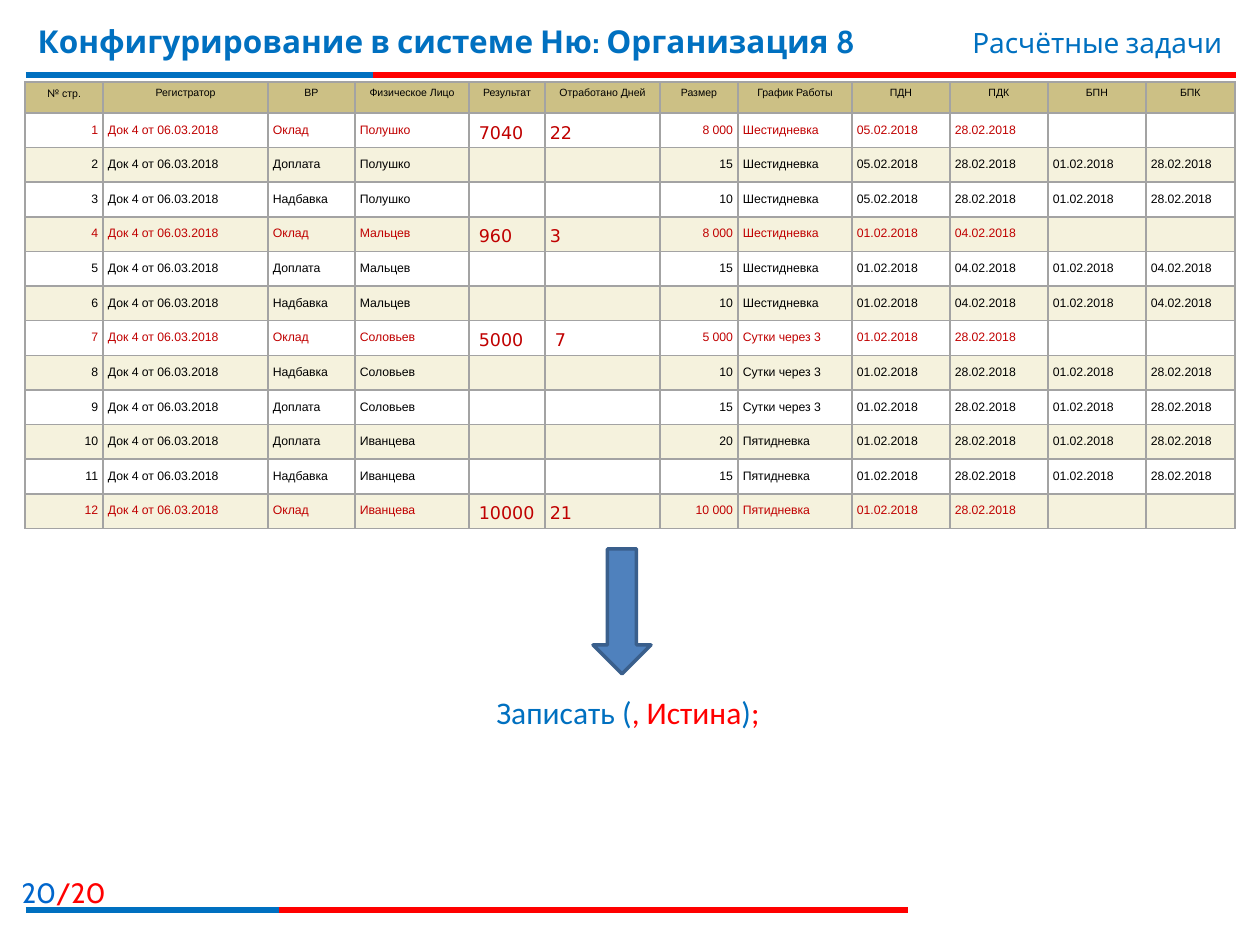
from lxml.etree import SubElement
from pptx import Presentation
from pptx.dml.color import RGBColor
from pptx.enum.shapes import MSO_CONNECTOR, MSO_SHAPE
from pptx.enum.text import MSO_ANCHOR, MSO_AUTO_SIZE, PP_ALIGN as ALIGN
from pptx.oxml import parse_xml
from pptx.oxml.ns import nsdecls, qn
from pptx.util import Emu, Pt

PX = 914400 / 126

BLUE = RGBColor(0x00, 0x70, 0xC0)
PAGE_BLUE = RGBColor(0x00, 0x66, 0xCC)
RED = RGBColor(0xFF, 0x00, 0x00)
DARK_RED = RGBColor(0xC0, 0x00, 0x00)
BLACK = RGBColor(0x00, 0x00, 0x00)
WHITE = RGBColor(0xFF, 0xFF, 0xFF)
CREAM = RGBColor(0xF5, 0xF2, 0xDD)
KHAKI = RGBColor(0xCC, 0xC0, 0x85)
GRID = RGBColor(0xA3, 0xA3, 0xA3)
ARROW_FILL = RGBColor(0x4F, 0x81, 0xBD)
ARROW_LINE = RGBColor(0x3A, 0x5F, 0x8C)


def px(*lengths):
    return [Emu(round(length * PX)) for length in lengths]


def write(frame, runs, font, size, align=ALIGN.LEFT, bold=False):
    frame.word_wrap = True
    frame.auto_size = MSO_AUTO_SIZE.NONE
    frame.vertical_anchor = MSO_ANCHOR.TOP
    line = frame.paragraphs[0]
    line.alignment = align
    line.font.name, line.font.size, line.font.bold = font, Pt(size), bold
    for text, color in runs:
        run = line.add_run()
        run.text = text
        run.font.color.rgb = color


prs = Presentation()
prs.slide_width, prs.slide_height = px(1260, 945)
slide = prs.slides.add_slide(prs.slide_layouts[5])
shapes = slide.shapes

# Red rules with a blue start, under the title and at the foot
for y, blue_end, red_end in ((75, 373, 1236), (910, 279, 908)):
    for end, color in ((red_end, RED), (blue_end, BLUE)):
        rule = shapes.add_connector(MSO_CONNECTOR.STRAIGHT, *px(26, y, end, y))
        rule.line.color.rgb = color
        rule.line.width = Pt(3)
        SubElement(rule._element.spPr, qn("a:effectLst"))

# Title, topic and page number
title = shapes.title
title.left, title.top, title.width, title.height = px(25, 16, 932, 78)
write(title.text_frame, [("Конфигурирование в системе Ню: Организация 8", BLUE)],
      "Cabin", 18, bold=True)

topic = shapes.add_textbox(*px(748, 19, 487, 47))
write(topic.text_frame, [("Расчётные задачи", BLUE)], "Cabin", 16, ALIGN.RIGHT)

page = shapes.add_textbox(*px(0, 869, 118, 41))
write(page.text_frame, [("20", PAGE_BLUE), ("/20", RED)], "Cabin", 16, ALIGN.RIGHT)

# Payroll register: type, person, result, days, size, schedule, start, end
headings = ("№ стр.", "Регистратор", "ВР", "Физическое Лицо", "Результат",
            "Отработано Дней", "Размер", "График Работы", "ПДН", "ПДК", "БПН", "БПК")
widths = (78, 165, 87, 114, 76, 115, 78, 114, 98, 98, 98, 89)
MONTH_START = "01.02.2018"
accruals = (
    ("Оклад", "Полушко", "7040", "22", "8 000", "Шестидневка", "05.02.2018", "28.02.2018"),
    ("Доплата", "Полушко", "", "", "15", "Шестидневка", "05.02.2018", "28.02.2018"),
    ("Надбавка", "Полушко", "", "", "10", "Шестидневка", "05.02.2018", "28.02.2018"),
    ("Оклад", "Мальцев", "960", "3", "8 000", "Шестидневка", MONTH_START, "04.02.2018"),
    ("Доплата", "Мальцев", "", "", "15", "Шестидневка", MONTH_START, "04.02.2018"),
    ("Надбавка", "Мальцев", "", "", "10", "Шестидневка", MONTH_START, "04.02.2018"),
    ("Оклад", "Соловьев", "5000", "7", "5 000", "Сутки через 3", MONTH_START, "28.02.2018"),
    ("Надбавка", "Соловьев", "", "", "10", "Сутки через 3", MONTH_START, "28.02.2018"),
    ("Доплата", "Соловьев", "", "", "15", "Сутки через 3", MONTH_START, "28.02.2018"),
    ("Доплата", "Иванцева", "", "", "20", "Пятидневка", MONTH_START, "28.02.2018"),
    ("Надбавка", "Иванцева", "", "", "15", "Пятидневка", MONTH_START, "28.02.2018"),
    ("Оклад", "Иванцева", "10000", "21", "10 000", "Пятидневка", MONTH_START, "28.02.2018"),
)
lines = [headings]
for number, accrual in enumerate(accruals, 1):
    base_period = ("", "") if accrual[0] == "Оклад" else (MONTH_START, accrual[-1])
    lines.append((str(number), "Док 4 от 06.03.2018", *accrual, *base_period))

register = shapes.add_table(len(lines), len(widths), *px(25, 82, sum(widths), 447)).table
register.first_row = register.horz_banding = False
for column, width in zip(register.columns, widths):
    column.width, = px(width)

NUMBER, RESULT, DAYS, SIZE = 0, 4, 5, 6
for r, line in enumerate(lines):
    register.rows[r].height, = px(416 / 12 if r else 31)
    color = DARK_RED if line[2] == "Оклад" else BLACK
    for c, text in enumerate(line):
        cell = register.cell(r, c)
        cell.fill.solid()
        indent = 5
        if r == 0:
            cell.fill.fore_color.rgb = KHAKI
            font, size, align = "Arial", 6, ALIGN.CENTER
            cell.margin_top, cell.margin_bottom = px(5, 5)
        else:
            cell.fill.fore_color.rgb = WHITE if r % 2 else CREAM
            font, size, align = "Arial", 7, ALIGN.LEFT
            cell.margin_top, cell.margin_bottom = px(10, 0)
            if c in (NUMBER, SIZE):
                align = ALIGN.RIGHT
            if c in (RESULT, DAYS) and text:
                font, size = "DejaVu Sans", 10
                indent = 10 if c == RESULT or text == "7" else 5
        cell.margin_left, cell.margin_right = px(indent, 5)

        paragraph = cell.text_frame.paragraphs[0]
        paragraph.alignment = align
        paragraph.font.name, paragraph.font.size = font, Pt(size)
        paragraph.font.color.rgb = color
        parts = ("№", text[1:]) if text.startswith("№") else (text,)
        for part in filter(None, parts):
            run = paragraph.add_run()
            run.text = part
            if part == "№":
                run.font.name = "Lato"

        # Borders come before the fill in the cell properties
        for i, side in enumerate(("lnL", "lnR", "lnT", "lnB")):
            cell._tc.tcPr.insert(i, parse_xml(
                f'<a:{side} {nsdecls("a")} w="12700"><a:solidFill>'
                f'<a:srgbClr val="{GRID}"/></a:solidFill></a:{side}>'))

# Arrow down to the resulting call
arrow = shapes.add_shape(MSO_SHAPE.DOWN_ARROW, *px(593, 549, 58, 125))
arrow.shadow.inherit = False
arrow.fill.solid()
arrow.fill.fore_color.rgb = ARROW_FILL
arrow.line.color.rgb = ARROW_LINE
arrow.line.width = Pt(2)

call = shapes.add_textbox(*px(484, 687, 389, 50))
write(call.text_frame,
      [("Записать (", BLUE), (", Истина", RED), (")", BLUE), (";", RED)], "Calibri", 18)

prs.save("out.pptx")
